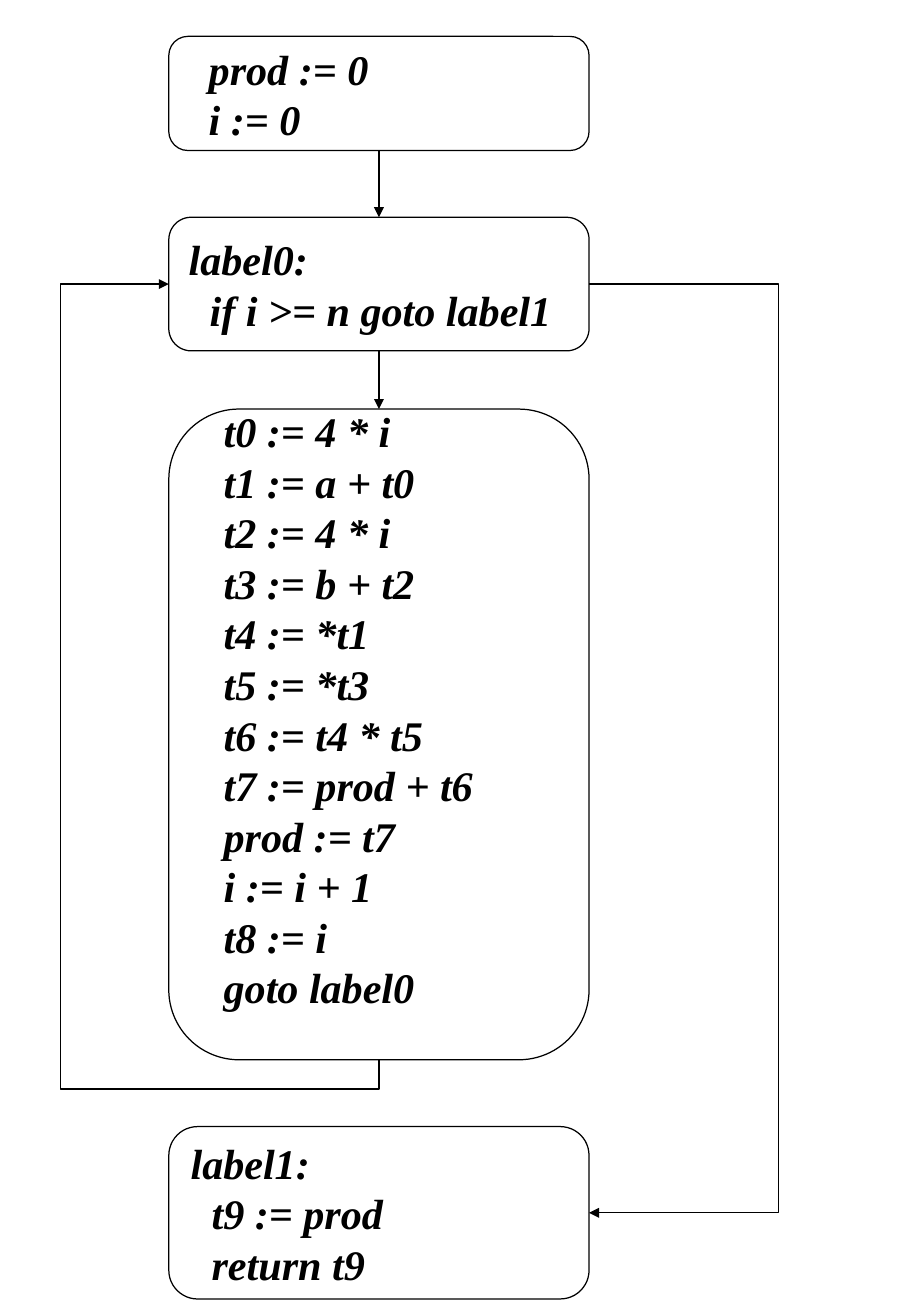
from dataclasses import dataclass

from lxml import etree
from pptx import Presentation
from pptx.dml.color import RGBColor
from pptx.dml.line import LineFormat
from pptx.enum.shapes import MSO_CONNECTOR, MSO_SHAPE
from pptx.enum.text import MSO_ANCHOR, PP_ALIGN
from pptx.oxml.ns import qn
from pptx.shapes.autoshape import Shape
from pptx.shapes.shapetree import SlideShapes
from pptx.util import Emu, Pt

STRAIGHT = MSO_CONNECTOR.STRAIGHT
ROUNDED = MSO_SHAPE.ROUNDED_RECTANGLE
MIDDLE = MSO_ANCHOR.MIDDLE
LEFT = PP_ALIGN.LEFT
TOP_SITE, BOTTOM_SITE = 0, 2

BLACK = RGBColor(0x00, 0x00, 0x00)
FONT = "Times New Roman"
FONT_SIZE = Pt(25)
LINE_PITCH = Pt(30)
OUTLINE_WIDTH = Pt(0)
ARROW_WIDTH = Pt(0.75)

PX = 9144
SLIDE_WIDTH, SLIDE_HEIGHT = 750, 1084
BLOCK_LEFT, BLOCK_WIDTH = 139, 346
BLOCK_RIGHT = BLOCK_LEFT + BLOCK_WIDTH
BLOCK_CENTER = BLOCK_LEFT + BLOCK_WIDTH // 2
CORNER = 0.167
SIDE_INSET, EDGE_INSET = 11, 5
LOOP_LANE, LOOP_TURN, EXIT_LANE = 50, 897, 641


@dataclass(frozen=True)
class Block:
    top: int
    height: int
    code: str
    bottom_inset: int = EDGE_INSET

    @property
    def bottom(self) -> int:
        return self.top + self.height

    @property
    def middle(self) -> int:
        return self.top + self.height // 2


ENTRY = Block(30, 94, "  prod := 0\n  i := 0")
TEST = Block(179, 110, "label0:\n  if i >= n goto label1")
BODY = Block(
    337,
    536,
    "  t0 := 4 * i\n  t1 := a + t0\n  t2 := 4 * i\n  t3 := b + t2\n"
    "  t4 := *t1\n  t5 := *t3\n  t6 := t4 * t5\n  t7 := prod + t6\n"
    "  prod := t7\n  i := i + 1\n  t8 := i\n  goto label0",
    bottom_inset=47,
)
FINISH = Block(928, 142, "label1:\n  t9 := prod\n  return t9")

LOOP_ROUTE = [
    (BLOCK_CENTER, BODY.bottom),
    (BLOCK_CENTER, LOOP_TURN),
    (LOOP_LANE, LOOP_TURN),
    (LOOP_LANE, TEST.middle),
    (BLOCK_LEFT, TEST.middle),
]
EXIT_ROUTE = [
    (BLOCK_RIGHT, TEST.middle),
    (EXIT_LANE, TEST.middle),
    (EXIT_LANE, FINISH.middle),
    (BLOCK_RIGHT, FINISH.middle),
]


def px(length: int) -> Emu:
    """Convert a length in px to EMU."""
    return Emu(length * PX)


def style_arrow(line: LineFormat, properties: etree._Element) -> None:
    """Give a line its colour, width and closing arrowhead."""
    line.color.rgb = BLACK
    line.width = ARROW_WIDTH
    outline = properties.find(qn("a:ln"))
    etree.SubElement(outline, qn("a:tailEnd"), type="triangle")


def draw_block(shapes: SlideShapes, block: Block) -> Shape:
    """Draw one basic block with its code."""
    shape = shapes.add_shape(
        ROUNDED, px(BLOCK_LEFT), px(block.top), px(BLOCK_WIDTH), px(block.height)
    )
    shape.adjustments[0] = CORNER
    shape.shadow.inherit = False
    shape.fill.background()
    shape.line.color.rgb = BLACK
    shape.line.width = OUTLINE_WIDTH
    frame = shape.text_frame
    frame.word_wrap = True
    frame.vertical_anchor = MIDDLE
    frame.margin_left = frame.margin_right = px(SIDE_INSET)
    frame.margin_top = px(EDGE_INSET)
    frame.margin_bottom = px(block.bottom_inset)
    frame.text = block.code
    for paragraph in frame.paragraphs:
        paragraph.alignment = LEFT
        paragraph.line_spacing = LINE_PITCH
        for run in paragraph.runs:
            run.font.name = FONT
            run.font.size = FONT_SIZE
            run.font.bold = True
            run.font.italic = True
            run.font.color.rgb = BLACK
    return shape


def draw_fall_through(shapes: SlideShapes, upper: Shape, lower: Shape) -> None:
    """Join two consecutive blocks with a straight arrow."""
    arrow = shapes.add_connector(STRAIGHT, 0, 0, 0, 0)
    arrow.begin_connect(upper, BOTTOM_SITE)
    arrow.end_connect(lower, TOP_SITE)
    properties = arrow._element.spPr
    style_arrow(arrow.line, properties)
    etree.SubElement(properties, qn("a:effectLst"))


def draw_jump(shapes: SlideShapes, route: list[tuple[int, int]]) -> None:
    """Draw a jump as an open right-angled route with an arrowhead."""
    builder = shapes.build_freeform(*route[0], scale=PX)
    builder.add_line_segments(route[1:], close=False)
    jump = builder.convert_to_shape()
    jump.fill.background()
    style_arrow(jump.line, jump._element.spPr)
    jump.shadow.inherit = False


def main() -> None:
    """Build the control flow graph slide."""
    presentation = Presentation()
    presentation.slide_width = px(SLIDE_WIDTH)
    presentation.slide_height = px(SLIDE_HEIGHT)
    shapes = presentation.slides.add_slide(presentation.slide_layouts[6]).shapes
    entry, test, body, _ = [
        draw_block(shapes, block) for block in (ENTRY, TEST, BODY, FINISH)
    ]
    draw_fall_through(shapes, entry, test)
    draw_fall_through(shapes, test, body)
    for route in (LOOP_ROUTE, EXIT_ROUTE):
        draw_jump(shapes, route)
    presentation.save("out.pptx")


if __name__ == "__main__":
    main()
